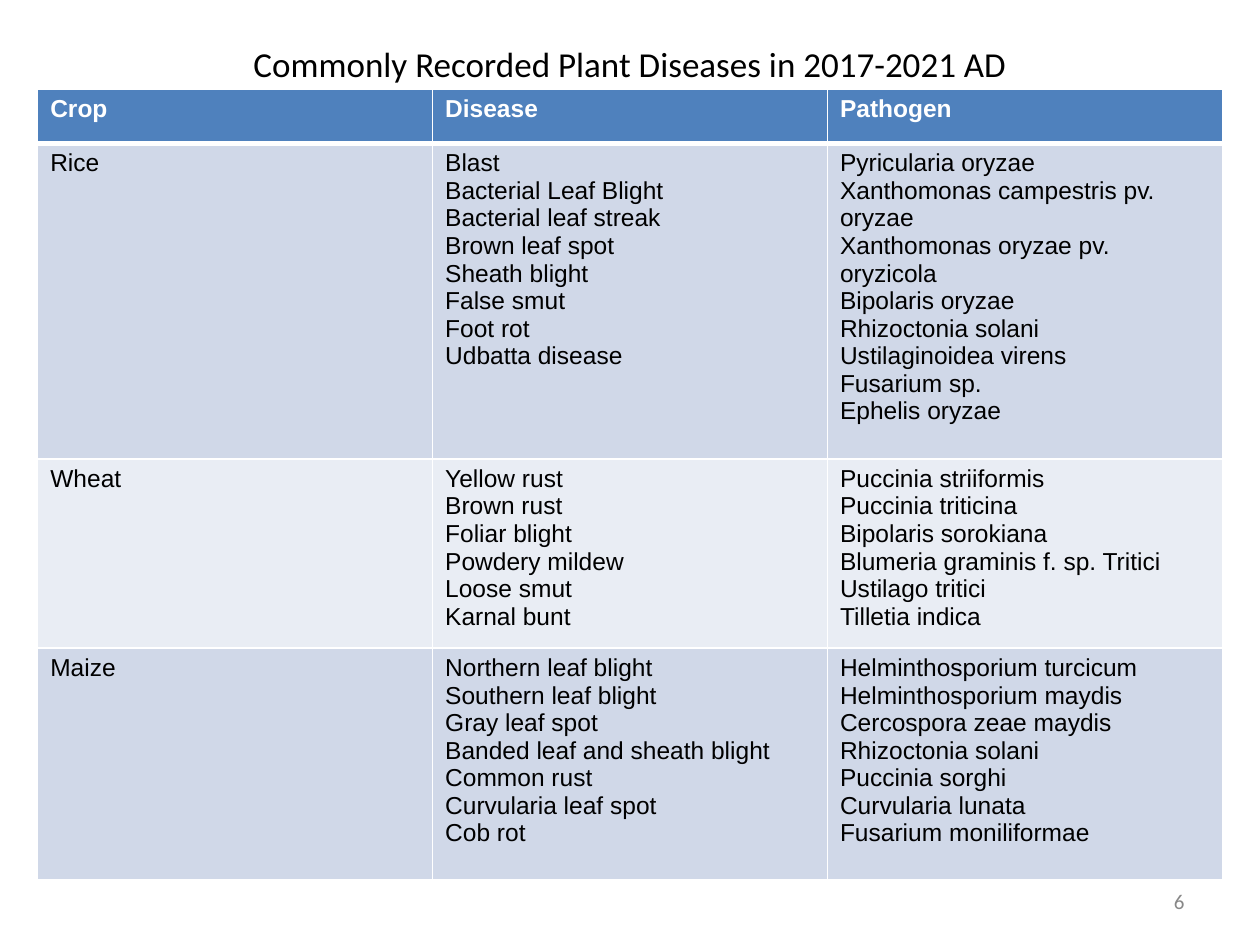
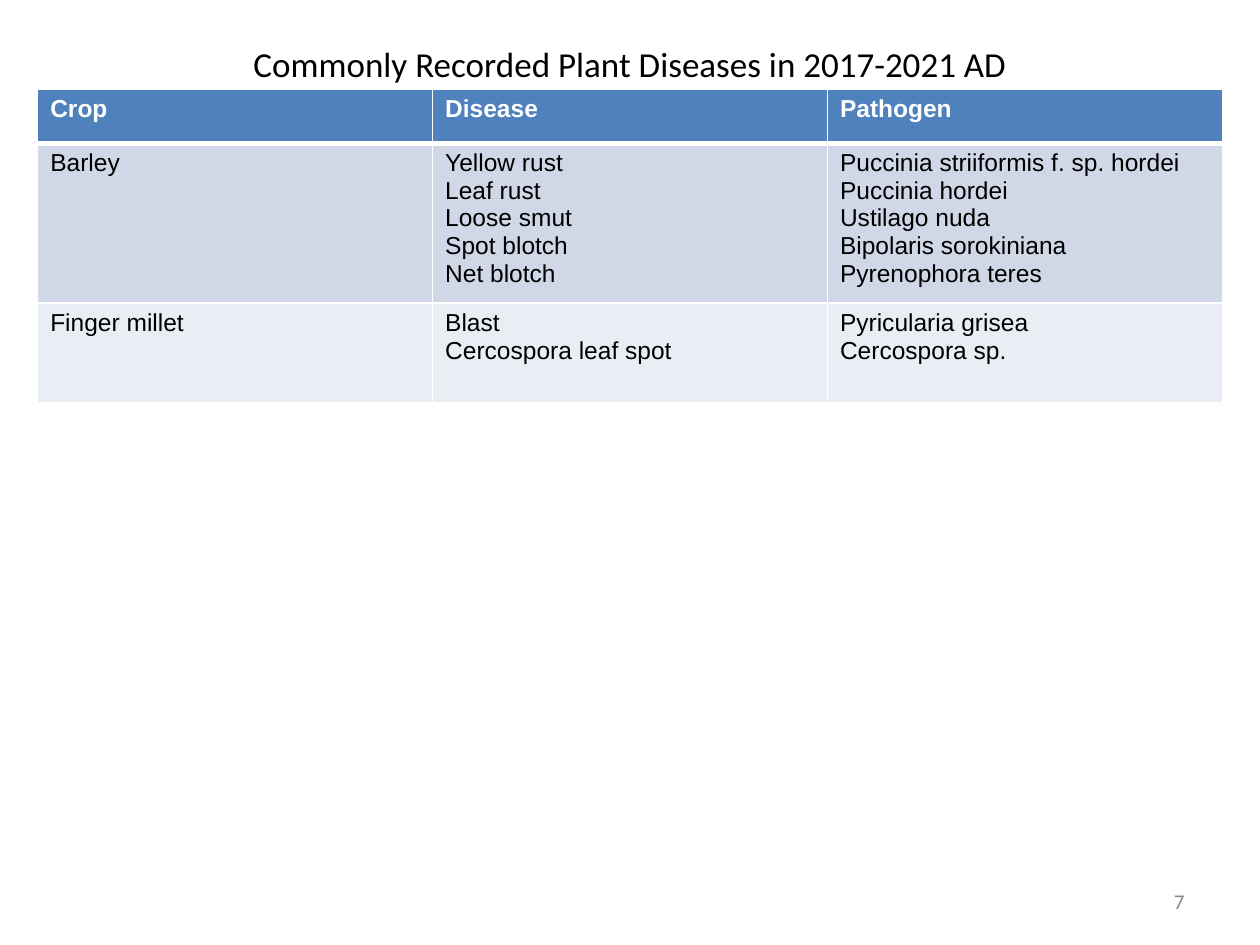
import dataclasses

import lxml.etree
import pptx
import pptx.dml.color
import pptx.enum.text
import pptx.oxml.ns
import pptx.util

Cm = pptx.util.Cm
Pt = pptx.util.Pt
Align = pptx.enum.text.PP_ALIGN


@dataclasses.dataclass(frozen=True)
class Theme:
    ink: str = "000000"
    white: str = "FFFFFF"
    grey: str = "888888"
    head: str = "4F81BD"
    bands: tuple = ("D0D8E8", "E9EDF4")
    title_font: str = "Calibri"
    cell_font: str = "Arial"
    title_size: int = 20
    cell_size: int = 14
    page_size: int = 12
    line: int = 1
    head_line: int = 3


theme = Theme()

WIDE, HIGH = 25.4, 19.05
TITLE_BOX = (1.27, 0.76, 22.86, 1.04)
PAGE_BOX = (18.2, 17.65, 5.93, 1.02)
TABLE_BOX = (0.76, 1.8, 23.88)
HEAD_HIGH = 1.09

TITLE = "Commonly Recorded Plant Diseases in 2017-2021 AD"
HEADS = ("Crop", "Disease", "Pathogen")

FIRST = [
    ("Rice", 6.36, [
        ("Blast", "Pyricularia oryzae"),
        ("Bacterial Leaf Blight", "Xanthomonas campestris pv. oryzae"),
        ("Bacterial leaf streak", "Xanthomonas oryzae pv. oryzicola"),
        ("Brown leaf spot", "Bipolaris oryzae"),
        ("Sheath blight", "Rhizoctonia solani"),
        ("False smut", "Ustilaginoidea virens"),
        ("Foot rot", "Fusarium sp."),
        ("Udbatta disease", "Ephelis oryzae"),
    ]),
    ("Wheat", 3.59, [
        ("Yellow rust", "Puccinia striiformis"),
        ("Brown rust", "Puccinia triticina"),
        ("Foliar blight", "Bipolaris sorokiana"),
        ("Powdery mildew", "Blumeria graminis f. sp. Tritici"),
        ("Loose smut", "Ustilago tritici"),
        ("Karnal bunt", "Tilletia indica"),
    ]),
    ("Maize", 4.68, [
        ("Northern leaf blight", "Helminthosporium turcicum"),
        ("Southern leaf blight", "Helminthosporium maydis"),
        ("Gray leaf spot", "Cercospora zeae maydis"),
        ("Banded leaf and sheath blight", "Rhizoctonia solani"),
        ("Common rust", "Puccinia sorghi"),
        ("Curvularia leaf spot", "Curvularia lunata"),
        ("Cob rot", "Fusarium moniliformae"),
    ]),
]

SECOND = [
    ("Barley", 3.02, [
        ("Yellow rust", "Puccinia striiformis f. sp. hordei"),
        ("Leaf rust", "Puccinia hordei"),
        ("Loose smut", "Ustilago nuda"),
        ("Spot blotch", "Bipolaris sorokiniana"),
        ("Net blotch", "Pyrenophora teres"),
    ]),
    ("Finger millet", 2.01, [
        ("Blast", "Pyricularia grisea"),
        ("Cercospora leaf spot", "Cercospora sp."),
    ]),
]


def paint(text):
    return pptx.dml.color.RGBColor.from_string(text)


def write(frame, lines, font, size, tint, align=Align.LEFT, bold=False):
    frame.word_wrap = True
    for i, line in enumerate(lines):
        para = frame.paragraphs[0] if i == 0 else frame.add_paragraph()
        para.alignment = align
        run = para.add_run()
        run.text = line
        run.font.name = font
        run.font.size = Pt(size)
        run.font.bold = bold
        run.font.color.rgb = paint(tint)


def add_title(slide, box):
    shape = slide.shapes.title
    shape.left, shape.top, shape.width, shape.height = map(Cm, box)
    frame = shape.text_frame
    frame.auto_size = pptx.enum.text.MSO_AUTO_SIZE.NONE
    frame.vertical_anchor = pptx.enum.text.MSO_ANCHOR.MIDDLE
    write(frame, [TITLE], theme.title_font, theme.title_size, theme.ink,
          Align.CENTER)


def add_page(slide, box, page):
    frame = slide.shapes.add_textbox(*map(Cm, box)).text_frame
    frame.vertical_anchor = pptx.enum.text.MSO_ANCHOR.MIDDLE
    write(frame, [str(page)], theme.title_font, theme.page_size, theme.grey,
          Align.RIGHT)


def add_edge(cell, side, width):
    qn = pptx.oxml.ns.qn
    props = cell._tc.get_or_add_tcPr()
    edge = lxml.etree.SubElement(props, qn("a:ln" + side), w=str(Pt(width)))
    fill = lxml.etree.SubElement(edge, qn("a:solidFill"))
    lxml.etree.SubElement(fill, qn("a:srgbClr"), val=theme.white)


def fill_cell(cell, lines, row):
    head = row == 0
    for side in "LRTB":
        thick = (head and side == "B") or (row == 1 and side == "T")
        add_edge(cell, side, theme.head_line if thick else theme.line)
    cell.fill.solid()
    cell.fill.fore_color.rgb = paint(
        theme.head if head else theme.bands[(row - 1) % 2])
    write(cell.text_frame, lines, theme.cell_font, theme.cell_size,
          theme.white if head else theme.ink, bold=head)


def add_crops(slide, box, crops):
    left, top, width = box
    rows = [(HEAD_HIGH, [[head] for head in HEADS])]
    for crop, high, pairs in crops:
        rows.append((high, [[crop], *zip(*pairs)]))
    total = sum(high for high, _ in rows)
    table = slide.shapes.add_table(
        len(rows), len(HEADS), Cm(left), Cm(top), Cm(width), Cm(total)).table
    for col in table.columns:
        col.width = Cm(width / len(HEADS))
    for r, (high, cells) in enumerate(rows):
        table.rows[r].height = Cm(high)
        for c, lines in enumerate(cells):
            fill_cell(table.cell(r, c), lines, r)


def add_slide(deck, page, crops):
    slide = deck.slides.add_slide(deck.slide_layouts.get_by_name("Title Only"))
    add_title(slide, TITLE_BOX)
    add_page(slide, PAGE_BOX, page)
    add_crops(slide, TABLE_BOX, crops)


deck = pptx.Presentation()
deck.slide_width, deck.slide_height = Cm(WIDE), Cm(HIGH)
for page, crops in enumerate((FIRST, SECOND), start=6):
    add_slide(deck, page, crops)
deck.save("out.pptx")
